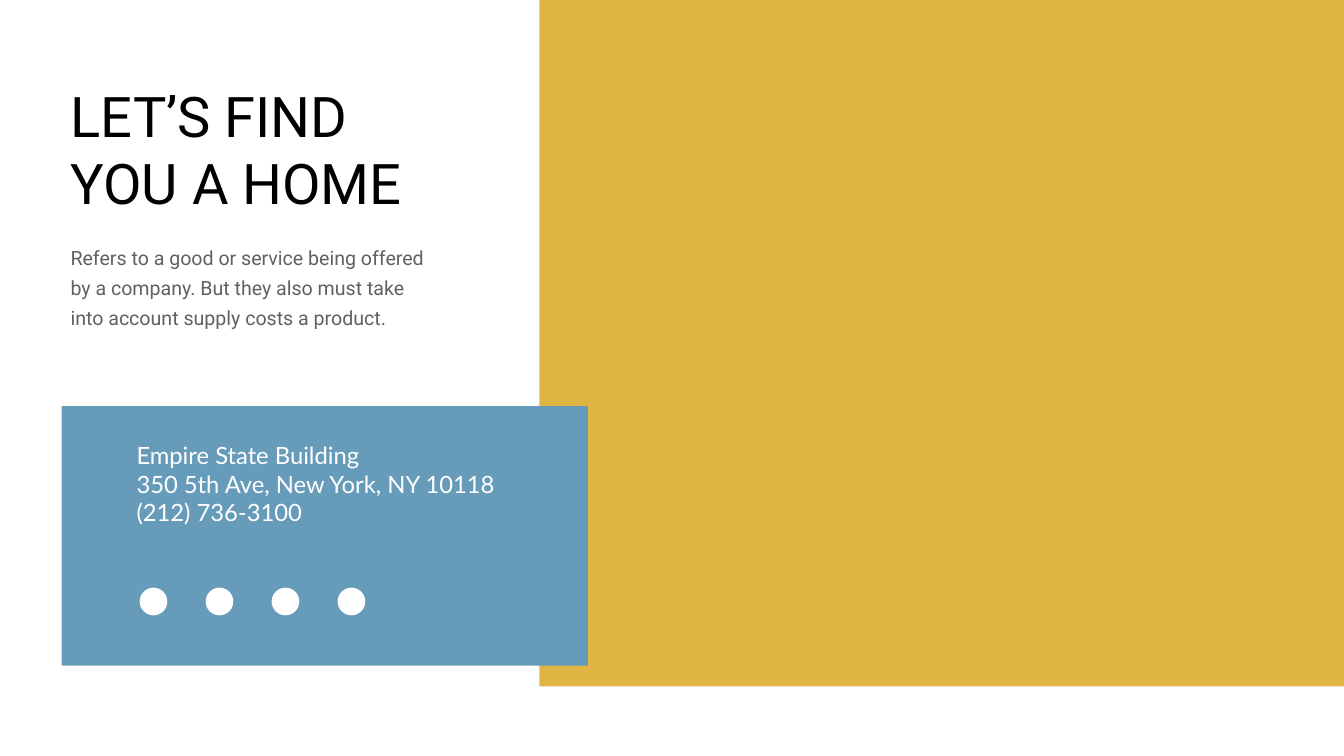
"""Build the contact slide with its heading, address card and row of social marks."""
from pptx import Presentation
from pptx.dml.color import RGBColor
from pptx.enum.shapes import MSO_SHAPE
from pptx.enum.text import MSO_AUTO_SIZE
from pptx.util import Inches, Pt

THEME = {
    "gold": "E1B543", "blue": "679BBA", "white": "FFFFFF",
    "black": "000000", "grey": "606160",
    "title": 80, "body": 28, "contact": 34, "leading": 43,
    "sans": "Roboto", "card": "Lato",
}

prs = Presentation()
prs.slide_width, prs.slide_height = Inches(26.66), Inches(15)
s = prs.slides.add_slide(prs.slide_layouts[6])


def place(x, y, w, h):
    """Turn percentages of the slide into a left, top, width and height."""
    return (int(prs.slide_width * x / 100), int(prs.slide_height * y / 100),
            int(prs.slide_width * w / 100), int(prs.slide_height * h / 100))


def add_block(kind, box, color):
    """Add a plain filled shape without outline or shadow."""
    sp = s.shapes.add_shape(kind, *place(*box))
    sp.shadow.inherit = False
    sp.fill.solid()
    sp.fill.fore_color.rgb = RGBColor.from_string(THEME[color])
    sp.line.fill.background()


add_block(MSO_SHAPE.RECTANGLE, (40.14, 0, 59.86, 90.8), "gold")
add_block(MSO_SHAPE.RECTANGLE, (4.58, 53.73, 39.16, 34.33), "blue")

texts = [
    ((4.88, 10.4, 27.31, 18.6), "LET’S FIND\nYOU A HOME",
     "title", "sans", "black", None),
    ((4.88, 31.33, 27.31, 12.4),
     "Refers to a good or service being offered by a company. "
     "But they also must take into account supply costs a product.",
     "body", "sans", "grey", Pt(THEME["leading"])),
    ((9.79, 58, 30.35, 12.13),
     "Empire State Building\n350 5th Ave, New York, NY 10118\n(212) 736-3100",
     "contact", "card", "white", None),
]
for box, text, size, font, color, leading in texts:
    tf = s.shapes.add_textbox(*place(*box)).text_frame
    tf.word_wrap = True
    tf.auto_size = MSO_AUTO_SIZE.SHAPE_TO_FIT_TEXT
    tf.text = text
    for p in tf.paragraphs:
        p.line_spacing = leading
        for r in p.runs:
            r.font.size = Pt(THEME[size])
            r.font.name = THEME[font]
            r.font.color.rgb = RGBColor.from_string(THEME[color])

for i in range(4):
    add_block(MSO_SHAPE.OVAL, (10.39 + 4.91 * i, 77.73, 2.06, 3.67), "white")

prs.save("out.pptx")
